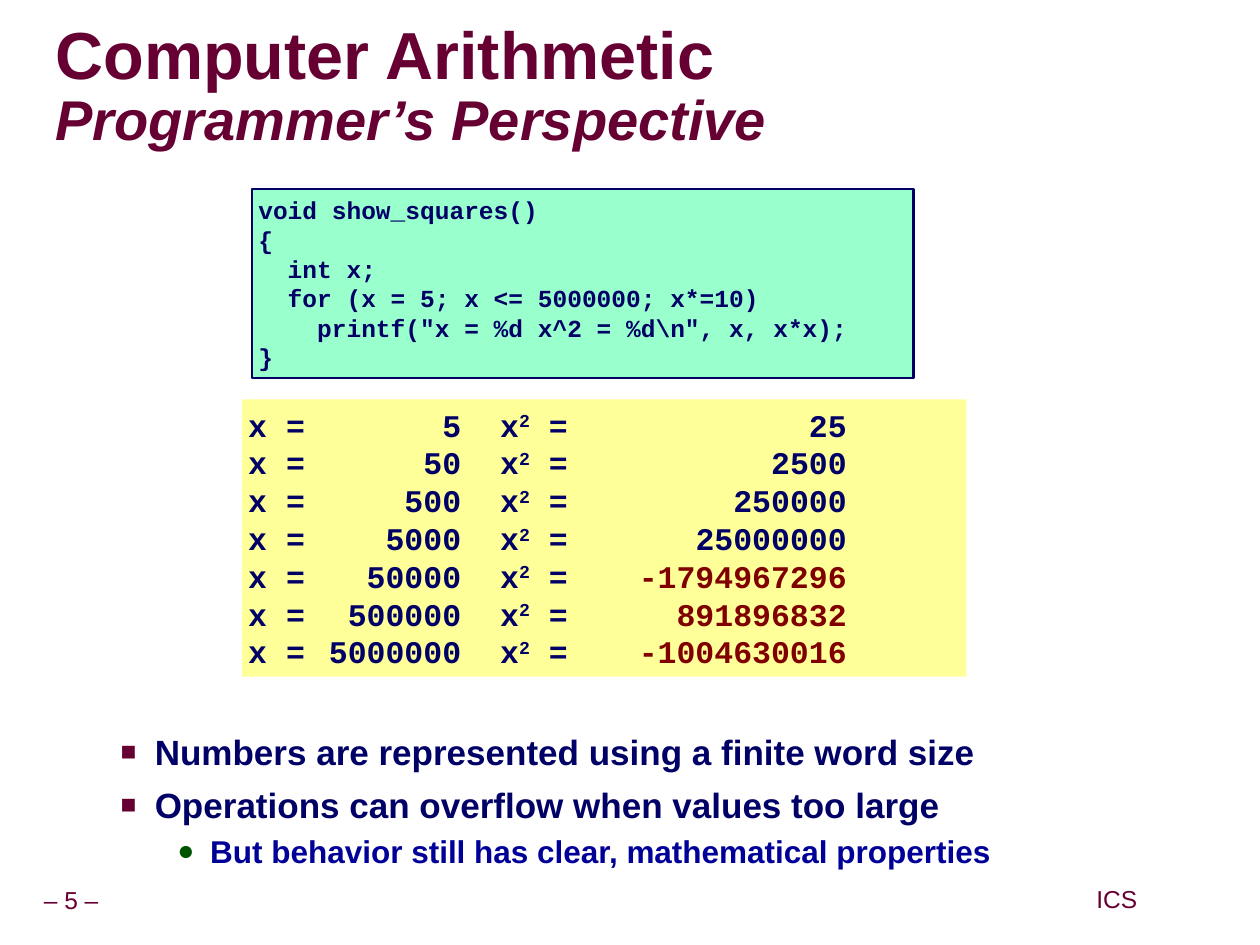
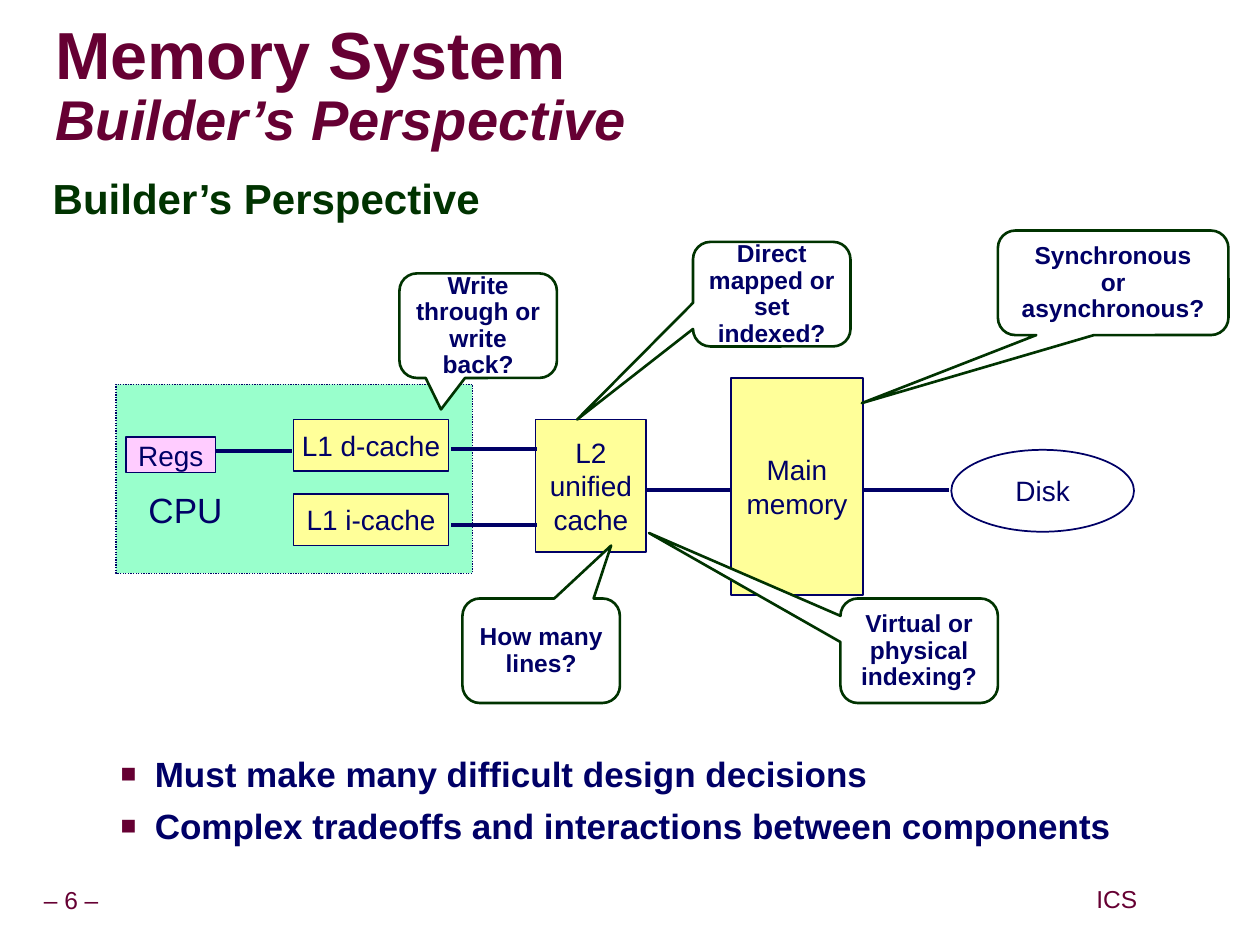
"""Builds two lecture slides: computer arithmetic and memory system."""
from lxml import etree
from pptx import Presentation
from pptx import util as u
from pptx.dml.color import RGBColor
from pptx.enum import dml, shapes, text
from pptx.oxml.ns import qn

COLOURS = {
    "maroon": "660033", "navy": "000066", "blue": "000099", "green": "003300",
    "leaf": "005400", "red": "800000", "mint": "99FFCC", "lemon": "FFFF99",
    "pink": "FFCCFF", "white": "FFFFFF", "shadow": "969696",
}
COLUMNS, ROWS = 10, 7.5
UNIT = u.Inches(10) // COLUMNS
LEADING = 1.2

STYLES = {
    "title": dict(size=38, colour="maroon", bold=True, spacing=0.87, shadow=True),
    "subtitle": dict(size=32, colour="maroon", bold=True, italic=True, spacing=0.87, shadow=True),
    "footer": dict(size=14, colour="maroon", spacing=0.9, align="CENTER"),
    "heading": dict(size=24, colour="green", bold=True, spacing=0.95),
    "point": dict(size=20, colour="navy", bold=True, before=6.2,
                  bullet=("■", "maroon", 75, 0.81, 0.27)),
    "detail": dict(size=18, colour="blue", bold=True, before=2.2, spacing=1.07,
                   bullet=("●", "leaf", 90, 1.25, 0.26)),
    "code": dict(size=14, colour="navy", bold=True, name="Courier New"),
    "output": dict(size=18, colour="navy", bold=True, name="Courier New",
                   tabs=((1.69, "r"), (2, "l"), (4.75, "r"))),
    "part": dict(size=16, colour="navy", align="CENTER"),
    "area": dict(size=20, colour="navy"),
    "callout": dict(size=14, colour="navy", bold=True, spacing=0.9, align="CENTER"),
}

TITLE_BOX = (0.44, 0.27, 9.53, 0.85)
PAGE_BOX, COURSE_BOX = (-0.09, 7, 1.31, 0.31), (8.65, 6.99, 0.43, 0.31)
BODY_LEFT, BODY_WIDTH = 0.32, 9.09

CODE = r'''void show_squares()
{
  int x;
  for (x = 5; x <= 5000000; x*=10)
    printf("x = %d x^2 = %d\n", x, x*x);
}'''
SQUARES = [
    ("5", "25", "navy"), ("50", "2500", "navy"), ("500", "250000", "navy"),
    ("5000", "25000000", "navy"), ("50000", "-1794967296", "red"),
    ("500000", "891896832", "red"), ("5000000", "-1004630016", "red"),
]
ARITHMETIC_POINTS = [
    ("point", "Numbers are represented using a finite word size"),
    ("point", "Operations can overflow when values too large"),
    ("detail", "But behavior still has clear, mathematical properties"),
]
MEMORY_POINTS = [
    ("point", "Must make many difficult design decisions"),
    ("point", "Complex tradeoffs and interactions between components"),
]
CPU_BOX = (0.92, 3.05, 2.83, 1.5)
PARTS = [
    ("RECTANGLE", "lemon", (5.8, 3, 1.05, 1.72), ["Main", "memory"]),
    ("OVAL", "white", (7.55, 3.57, 1.45, 0.65), ["Disk"]),
    ("RECTANGLE", "lemon", (2.33, 3.92, 1.23, 0.41), ["L1 i-cache"]),
    ("RECTANGLE", "lemon", (2.33, 3.33, 1.23, 0.41), ["L1 d-cache"]),
    ("RECTANGLE", "pink", (1, 3.47, 0.71, 0.28), ["Regs"]),
    ("RECTANGLE", "lemon", (4.25, 3.33, 0.88, 1.05), ["L2", "unified", "cache"]),
]
BUSES = [(1.71, 2.32, 3.58), (3.58, 4.26, 3.56), (3.58, 4.26, 4.17),
         (5.13, 5.81, 3.89), (6.85, 7.53, 3.89)]
CALLOUT_HEIGHT = 0.83
CALLOUTS = [
    ((3.17, 2.17), 1.25, (3.5, 3.25), ["Write through or write back?"]),
    ((5.5, 1.92), 1.25, (4.58, 3.33), ["Direct mapped or set indexed?"]),
    ((3.67, 4.75), 1.25, (4.85, 4.33), ["How many lines?"]),
    ((6.67, 4.75), 1.25, (5.15, 4.23), ["Virtual or physical indexing?"]),
    ((7.92, 1.83), 1.83, (6.84, 3.2), ["Synchronous", "or", "asynchronous?"]),
]


def grid(*lengths):
    return [round(length * UNIT) for length in lengths]


def rgb(colour):
    return RGBColor.from_string(COLOURS[colour])


def child(parent, tag, **attributes):
    return etree.SubElement(parent, qn(tag), {k: str(v) for k, v in attributes.items()})


def add_marks(paragraph, style):
    properties = paragraph._p.get_or_add_pPr()
    if "bullet" in style:
        mark, colour, percent, margin, hanging = style["bullet"]
        margin, hanging = grid(margin, hanging)
        properties.set("marL", str(margin))
        properties.set("indent", str(-hanging))
        child(child(properties, "a:buClr"), "a:srgbClr", val=COLOURS[colour])
        child(properties, "a:buSzPct", val=percent * 1000)
        child(properties, "a:buFont", typeface="Arial")
        child(properties, "a:buChar", char=mark)
    if "tabs" in style:
        tab_list = child(properties, "a:tabLst")
        for place, side in style["tabs"]:
            child(tab_list, "a:tab", pos=grid(place)[0], algn=side)


def add_run(paragraph, words, style):
    run = paragraph.add_run()
    run.text = words
    values = dict(name=style.get("name", "Arial"), size=u.Pt(style["size"]),
                  bold=style.get("bold", False), italic=style.get("italic", False))
    for key, value in values.items():
        setattr(run.font, key, value)
    run.font.color.rgb = rgb(style["colour"])
    properties = run._r.get_or_add_rPr()
    if "baseline" in style:
        properties.set("baseline", str(style["baseline"]))
    if "shadow" in style:
        effects = etree.Element(qn("a:effectLst"))
        shadow = child(effects, "a:outerShdw", dist=u.Pt(3), dir=2700000, algn="tl")
        child(shadow, "a:srgbClr", val=COLOURS["shadow"])
        properties.find(qn("a:solidFill")).addnext(effects)


def write(shape, lines, inset=(0.05, 0.05), anchor="TOP", wrap=True):
    frame = shape.text_frame
    side, end = grid(*inset)
    values = dict(margin_left=side, margin_right=side, margin_top=end, margin_bottom=end,
                  word_wrap=wrap, vertical_anchor=getattr(text.MSO_ANCHOR, anchor))
    for key, value in values.items():
        setattr(frame, key, value)
    for index, (style_name, content) in enumerate(lines):
        style = STYLES[style_name]
        paragraph = frame.add_paragraph() if index else frame.paragraphs[0]
        add_marks(paragraph, style)
        values = dict(alignment=getattr(text.PP_ALIGN, style.get("align", "LEFT")),
                      line_spacing=u.Pt(style["size"] * LEADING * style.get("spacing", 1)),
                      space_before=u.Pt(style.get("before", 0) if index else 0))
        for key, value in values.items():
            setattr(paragraph, key, value)
        runs = [(content, {})] if isinstance(content, str) else content
        for words, changes in runs:
            add_run(paragraph, words, {**style, **changes})


def add_text(slide, box, lines, **options):
    write(slide.shapes.add_textbox(*grid(*box)), lines, **options)


def add_box(slide, kind, box, fill, line=None, width=1.0):
    shape = slide.shapes.add_shape(getattr(shapes.MSO_SHAPE, kind), *grid(*box))
    shape.shadow.inherit = False
    shape.fill.solid()
    shape.fill.fore_color.rgb = rgb(fill)
    if line:
        shape.line.color.rgb = rgb(line)
        shape.line.width = u.Pt(width)
    else:
        shape.line.fill.background()
    return shape


def add_bus(slide, start, end, height):
    bus = slide.shapes.add_connector(shapes.MSO_CONNECTOR.STRAIGHT,
                                     *grid(start, height, end, height))
    bus.line.color.rgb = rgb("navy")
    bus.line.width = u.Pt(2.25)
    child(bus._element.spPr, "a:effectLst")


def add_callout(slide, corner, width, tip, lines):
    sizes = (width, CALLOUT_HEIGHT)
    shape = add_box(slide, "ROUNDED_RECTANGULAR_CALLOUT", corner + sizes, "white", "green", 1.5)
    for index, (start, size, point) in enumerate(zip(corner, sizes, tip)):
        shape.adjustments[index] = (point - start) / size - 0.5
    write(shape, [("callout", line) for line in lines], anchor="MIDDLE")


def add_slide(presentation, number, title, subtitle):
    slide = presentation.slides.add_slide(presentation.slide_layouts[6])
    for box, words in ((PAGE_BOX, f"– {number} –"), (COURSE_BOX, "ICS")):
        add_text(slide, box, [("footer", words)], anchor="MIDDLE", wrap=False)
    add_text(slide, TITLE_BOX, [("title", title), ("subtitle", subtitle)],
             inset=(0, 0), anchor="MIDDLE")
    return slide


def add_body(slide, top, height, lines):
    add_text(slide, (BODY_LEFT, top, BODY_WIDTH, height), lines, inset=(0.1, 0.05))


def build_arithmetic(presentation):
    slide = add_slide(presentation, 5, "Computer Arithmetic", "Programmer’s Perspective")
    add_body(slide, 5.75, 1.3, ARITHMETIC_POINTS)
    listing = add_box(slide, "RECTANGLE", (2, 1.5, 5.25, 1.5), "mint", "navy", 1.5)
    write(listing, [("code", line) for line in CODE.splitlines()])
    output = add_box(slide, "RECTANGLE", (1.92, 3.17, 5.75, 2.2), "lemon")
    write(output, [("output", [(f"x =\t{x}\tx", {}), ("2", {"baseline": 30000}),
                               (" =\t", {}), (square, {"colour": colour})])
                   for x, square, colour in SQUARES])


def build_memory(presentation):
    slide = add_slide(presentation, 6, "Memory System", "Builder’s Perspective")
    add_body(slide, 1.34, 0.5, [("heading", "Builder’s Perspective")])
    add_body(slide, 5.92, 1, MEMORY_POINTS)
    cpu = add_box(slide, "RECTANGLE", CPU_BOX, "mint", "navy", 0.75)
    cpu.line.dash_style = dml.MSO_LINE.ROUND_DOT
    for kind, fill, box, lines in PARTS:
        write(add_box(slide, kind, box, fill, "navy"), [("part", line) for line in lines],
              inset=(0.08, 0.04), anchor="MIDDLE", wrap=False)
    for bus in BUSES:
        add_bus(slide, *bus)
    add_text(slide, (1.08, 3.83, 0.79, 0.43), [("area", "CPU")], inset=(0.1, 0.05), wrap=False)
    for callout in CALLOUTS:
        add_callout(slide, *callout)


def main():
    presentation = Presentation()
    presentation.slide_width, presentation.slide_height = grid(COLUMNS, ROWS)
    build_arithmetic(presentation)
    build_memory(presentation)
    presentation.save("out.pptx")


if __name__ == "__main__":
    main()
